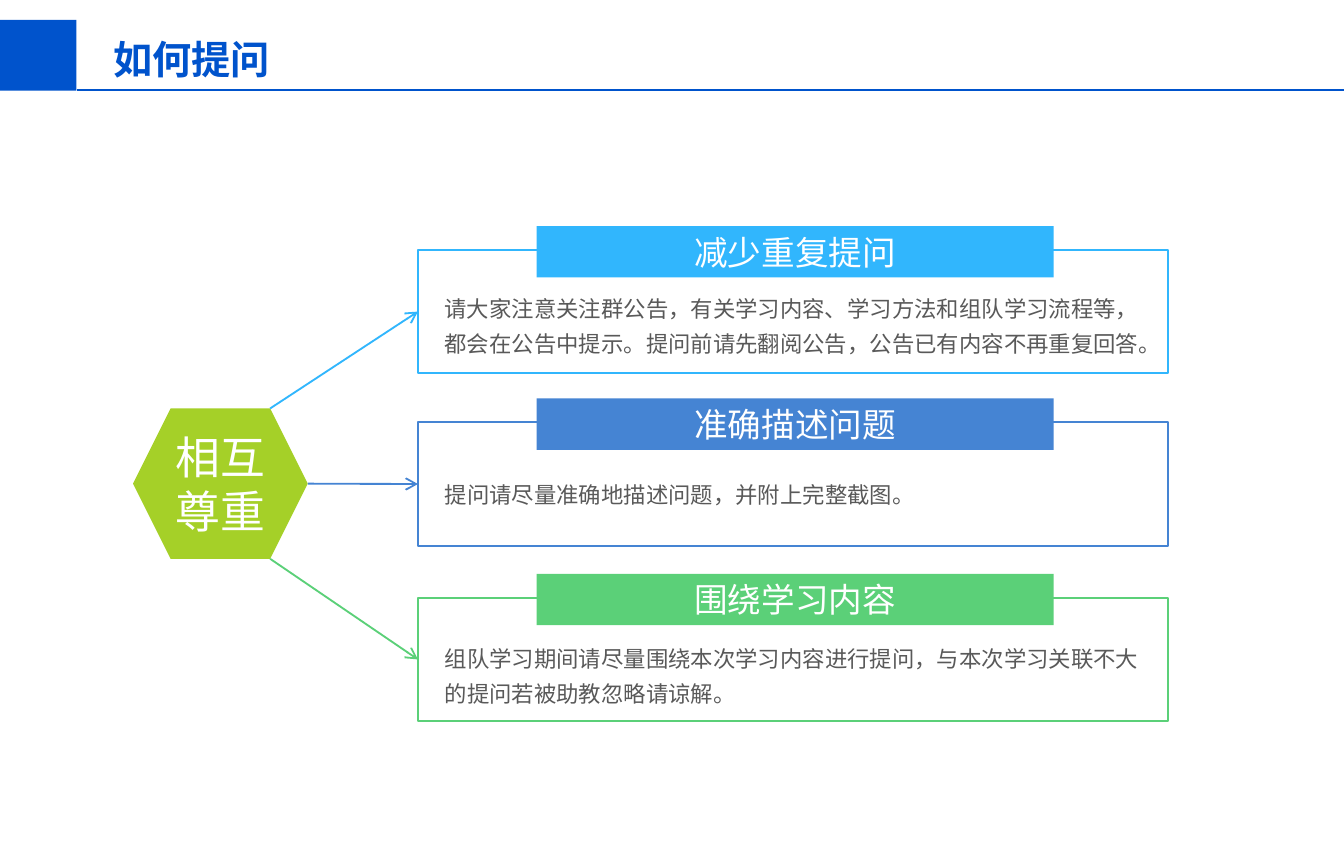
from dataclasses import dataclass

from lxml.etree import SubElement
from pptx import Presentation
from pptx.dml.color import RGBColor as Rgb
from pptx.enum.shapes import MSO_CONNECTOR as Connector, MSO_SHAPE as Shape
from pptx.enum.text import MSO_ANCHOR as Anchor, MSO_AUTO_SIZE as AutoSize, PP_ALIGN as Align
from pptx.oxml.ns import qn
from pptx.util import Pt


@dataclass(frozen=True)
class Theme:
    brand: str = "0053CC"
    hub: str = "A5D028"
    sky: str = "31B6FD"
    blue: str = "4584D3"
    green: str = "5BD078"
    white: str = "FFFFFF"
    body: str = "595959"
    title_size: int = 21
    hub_size: int = 24
    heading_size: int = 18
    body_size: int = 12
    cjk_font: str = "Noto Sans CJK SC"
    body_font: str = "Arial"


THEME = Theme()
SLIDE_WIDTH, SLIDE_HEIGHT = 720, 450.72
RULE_Y = 48.3
HUB_LEFT, HUB_TOP, HUB_WIDTH, HUB_HEIGHT = 71.3, 218.9, 93.6, 80.6
HUB_INSET = HUB_HEIGHT / 4
CARD_LEFT, CARD_WIDTH, CARD_HEIGHT = 223.9, 401.8, 66.2

# colour, card top, heading, body text, body offset from the card top, body width, body height
CARDS = [
    (THEME.sky, 133.9, "减少重复提问",
     "请大家注意关注群公告，有关学习内容、学习方法和组队学习流程等，"
     "都会在公告中提示。提问前请先翻阅公告，公告已有内容不再重复回答。", 17.3, 393.1, 43.2),
    (THEME.blue, 226.3, "准确描述问题",
     "提问请尽量准确地描述问题，并附上完整截图。", 24.3, 385.2, 23),
    (THEME.green, 320.3, "围绕学习内容",
     "组队学习期间请尽量围绕本次学习内容进行提问，"
     "与本次学习关联不大的提问若被助教忽略请谅解。", 18.1, 385.2, 43.2),
]


def set_all(target, values):
    for name, value in values.items():
        setattr(target, name, value)


class SlideBuilder:
    def __init__(self, slide, theme):
        self.slide = slide
        self.theme = theme

    def fill_text(self, frame, text, size, color, font=None, bold=False, align=Align.LEFT,
                  anchor=Anchor.TOP, spacing=1.0, margins=(5.8, 2.9)):
        side, end = margins
        set_all(frame, {
            "word_wrap": True, "auto_size": AutoSize.NONE, "vertical_anchor": anchor,
            "margin_left": Pt(side), "margin_right": Pt(side),
            "margin_top": Pt(end), "margin_bottom": Pt(end),
        })
        paragraph = frame.paragraphs[0]
        set_all(paragraph, {"alignment": align, "line_spacing": spacing})
        run = paragraph.add_run()
        run.text = text
        set_all(run.font, {"size": Pt(size), "bold": bold, "name": font or self.theme.cjk_font})
        run.font.color.rgb = Rgb.from_string(color)
        east_asian = SubElement(run.font._element, qn("a:ea"))
        east_asian.set("typeface", self.theme.cjk_font)

    def title(self, text, left, top, width, height):
        heading = self.slide.shapes.title
        set_all(heading, {"left": Pt(left), "top": Pt(top),
                          "width": Pt(width), "height": Pt(height)})
        self.fill_text(heading.text_frame, text, self.theme.title_size, self.theme.brand,
                       bold=True, spacing=1.2, margins=(0, 0))

    def block(self, kind, left, top, width, height, fill=None, outline=None):
        block = self.slide.shapes.add_shape(kind, Pt(left), Pt(top), Pt(width), Pt(height))
        block.shadow.inherit = False
        if fill:
            block.fill.solid()
            block.fill.fore_color.rgb = Rgb.from_string(fill)
        else:
            block.fill.background()
        if outline:
            block.line.color.rgb = Rgb.from_string(outline)
            block.line.width = Pt(1)
        else:
            block.line.fill.background()
        return block

    def label(self, kind, left, top, width, height, fill, text, size):
        """Add a filled shape with centred white text."""
        block = self.block(kind, left, top, width, height, fill=fill)
        self.fill_text(block.text_frame, text, size, self.theme.white,
                       align=Align.CENTER, anchor=Anchor.MIDDLE)

    def body(self, text, left, top, width, height):
        box = self.slide.shapes.add_textbox(Pt(left), Pt(top), Pt(width), Pt(height))
        self.fill_text(box.text_frame, text, self.theme.body_size, self.theme.body,
                       font=self.theme.body_font, spacing=1.3)

    def line(self, start, end, color, arrow=False):
        line = self.slide.shapes.add_connector(
            Connector.STRAIGHT, *(Pt(value) for value in (*start, *end)))
        line.line.color.rgb = Rgb.from_string(color)
        line.line.width = Pt(1)
        properties = line._element.spPr
        if arrow:
            SubElement(properties.find(qn("a:ln")), qn("a:tailEnd")).set("type", "arrow")
        SubElement(properties, qn("a:effectLst"))

    def card(self, color, top, heading, text, body_offset, body_width, body_height):
        self.block(Shape.RECTANGLE, CARD_LEFT, top, CARD_WIDTH, CARD_HEIGHT, outline=color)
        self.label(Shape.RECTANGLE, 287.5, top - 12.7, 277, 27.5, color, heading,
                   self.theme.heading_size)
        self.body(text, 232.4, top + body_offset, body_width, body_height)


def main():
    deck = Presentation()
    set_all(deck, {"slide_width": Pt(SLIDE_WIDTH), "slide_height": Pt(SLIDE_HEIGHT)})
    builder = SlideBuilder(deck.slides.add_slide(deck.slide_layouts[5]), THEME)

    builder.block(Shape.RECTANGLE, 0, 10.7, 41, 37.9, fill=THEME.brand)
    builder.line((41, RULE_Y), (SLIDE_WIDTH, RULE_Y), THEME.brand)
    builder.title("如何提问", 60.7, 13.7, 557.3, 30.2)

    builder.label(Shape.HEXAGON, HUB_LEFT, HUB_TOP, HUB_WIDTH, HUB_HEIGHT,
                  THEME.hub, "相互尊重", THEME.hub_size)
    hub_right = HUB_LEFT + HUB_WIDTH
    hub_corners = [
        (hub_right - HUB_INSET, HUB_TOP),
        (hub_right, HUB_TOP + HUB_HEIGHT / 2),
        (hub_right - HUB_INSET, HUB_TOP + HUB_HEIGHT),
    ]
    for corner, card in zip(hub_corners, CARDS):
        color, top = card[:2]
        builder.card(*card)
        builder.line(corner, (CARD_LEFT, top + CARD_HEIGHT / 2), color, arrow=True)

    deck.save("out.pptx")


if __name__ == "__main__":
    main()
